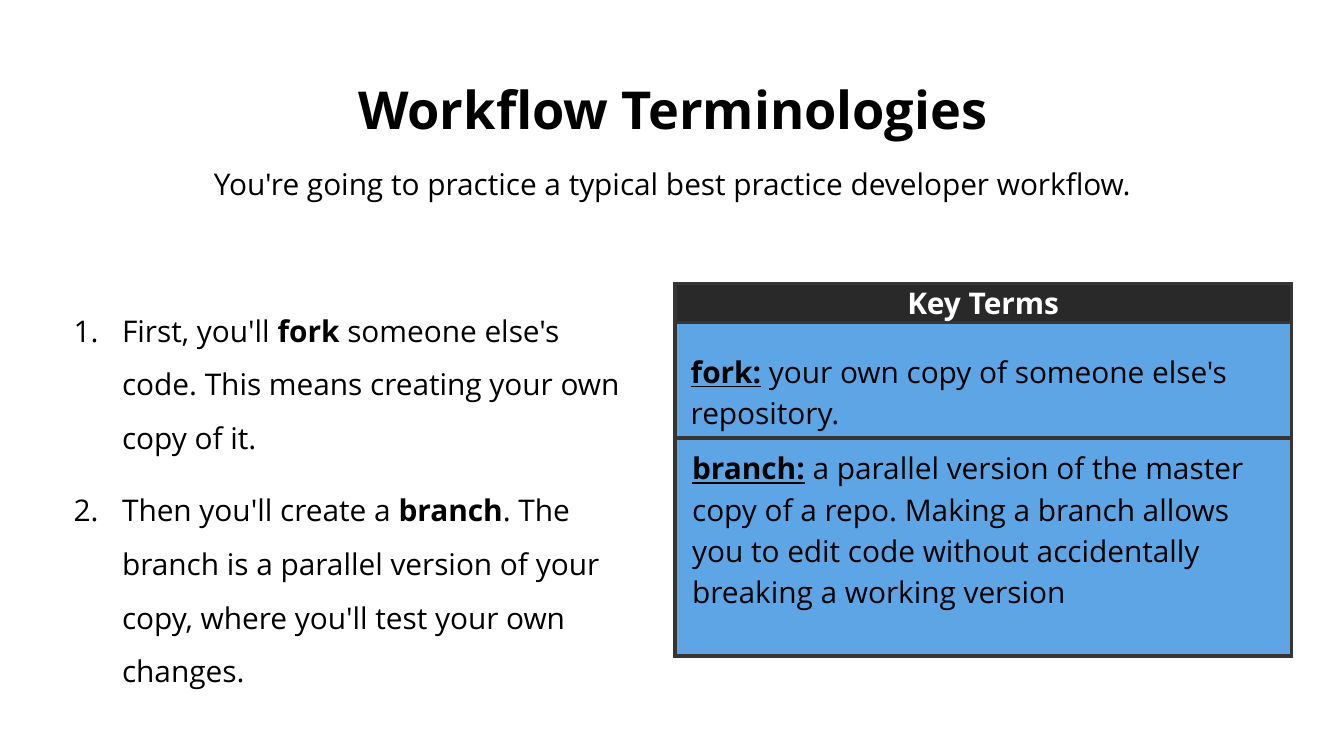
"""Build the workflow terminologies slide."""
from typing import NamedTuple

from lxml import etree
from pptx import Presentation
from pptx.dml.color import RGBColor
from pptx.enum.shapes import MSO_SHAPE
from pptx.enum.text import MSO_ANCHOR, MSO_AUTO_SIZE, PP_ALIGN
from pptx.oxml.ns import qn
from pptx.util import Inches, Pt

RECT = MSO_SHAPE.RECTANGLE
TOP, MIDDLE = MSO_ANCHOR.TOP, MSO_ANCHOR.MIDDLE
LEFT, CENTER = PP_ALIGN.LEFT, PP_ALIGN.CENTER
NO_FIT = MSO_AUTO_SIZE.NONE
FONT = "Open Sans"
BLACK, WHITE, DARK, BORDER, BLUE = "000000", "FFFFFF", "292929", "353535", "5EA5E5"
SLIDE_W = 10
SLIDE_H = SLIDE_W * 9 / 16
CARD_X, CARD_W = 5.02, 4.59


class Run(NamedTuple):
    text: str
    bold: bool = False
    underline: bool = False


class Term(NamedTuple):
    name: str
    meaning: str
    box_y: float
    box_h: float
    text_x: float
    text_y: float
    text_h: float


STEPS = [
    [Run("First, you'll "), Run("fork", True),
     Run(" someone else's code. This means creating your own copy of it.")],
    [Run("Then you'll create a "), Run("branch", True),
     Run(". The branch is a parallel version of your copy, where you'll test your own changes.")],
]
FORK = Term("fork:", " your own copy of someone else's repository.",
            2.4, 0.86, 5.08, 2.53, 0.68)
BRANCH = Term("branch:", " a parallel version of the master copy of a repo. Making a branch allows "
              "you to edit code without accidentally breaking a working version",
              3.26, 1.62, 5.09, 3.25, 1.46)


def rgb(color: str) -> RGBColor:
    return RGBColor.from_string(color)


def place(sp, x: float, y: float, w: float, h: float) -> None:
    sp.left, sp.top, sp.width, sp.height = map(Inches, (x, y, w, h))


def write(sp, paragraphs: list[list[Run]], *, size: int = 16, color: str = BLACK,
          align: PP_ALIGN = LEFT, anchor: MSO_ANCHOR = TOP, inset: float = 0.1,
          spacing: float = 1.0, after: int = 0) -> None:
    tf = sp.text_frame
    tf.word_wrap, tf.auto_size, tf.vertical_anchor = True, NO_FIT, anchor
    tf.margin_left = tf.margin_right = tf.margin_top = tf.margin_bottom = Inches(inset)
    for i, runs in enumerate(paragraphs):
        p = tf.add_paragraph() if i else tf.paragraphs[0]
        p.alignment, p.line_spacing = align, spacing
        p.space_before, p.space_after = Pt(0), Pt(after)
        for run in runs:
            r = p.add_run()
            r.text = run.text
            r.font.name, r.font.size = FONT, Pt(size)
            r.font.bold, r.font.underline = run.bold, run.underline
            r.font.color.rgb = rgb(color)


def number(p) -> None:
    pPr = p._p.get_or_add_pPr()
    pPr.set("marL", str(Inches(0.5)))
    pPr.set("indent", str(Inches(-0.36)))
    etree.SubElement(pPr, qn("a:buFont"), typeface=FONT)
    etree.SubElement(pPr, qn("a:buAutoNum"), type="arabicPeriod")


def add_text(shapes, x: float, y: float, w: float, h: float):
    return shapes.add_textbox(*map(Inches, (x, y, w, h)))


def add_card(shapes, y: float, h: float, fill: str):
    sp = shapes.add_shape(RECT, *map(Inches, (CARD_X, y, CARD_W, h)))
    sp.shadow.inherit = False
    sp.fill.solid()
    sp.fill.fore_color.rgb = rgb(fill)
    sp.line.color.rgb = rgb(BORDER)
    sp.line.width = Pt(2)
    etree.SubElement(sp.line._get_or_add_ln(), qn("a:miter"), lim="800000")
    return sp


def add_term(shapes, term: Term) -> None:
    add_card(shapes, term.box_y, term.box_h, BLUE)
    sp = add_text(shapes, term.text_x, term.text_y, 4.46, term.text_h)
    write(sp, [[Run(term.name, True, True), Run(term.meaning)]],
          inset=0.06, spacing=1.15, after=10)


def main() -> None:
    prs = Presentation()
    prs.slide_width, prs.slide_height = Inches(SLIDE_W), Inches(SLIDE_H)
    s = prs.slides.add_slide(prs.slide_layouts[5])

    title = s.shapes.title
    place(title, 0.18, 0.47, 9.65, 0.68)
    write(title, [[Run("Workflow Terminologies", True)]], size=28, align=CENTER, anchor=MIDDLE)

    steps = add_text(s.shapes, 0.31, 2.09, 4.48, 3.34)
    write(steps, STEPS, spacing=1.5)
    for p in steps.text_frame.paragraphs:
        number(p)
    last = steps.text_frame.paragraphs[-1]
    last.space_before = last.space_after = Pt(10)

    subtitle = add_text(s.shapes, 0.18, 1.03, 9.65, 0.63)
    write(subtitle,
          [[Run("You're going to practice a typical best practice developer workflow.")]],
          align=CENTER, anchor=MIDDLE, spacing=1.15)

    fork_group = s.shapes.add_group_shape()
    add_term(fork_group.shapes, FORK)
    header = add_card(s.shapes, 2.11, 0.29, DARK)
    write(header, [[Run("Key Terms", True)]], color=WHITE, align=CENTER, anchor=MIDDLE, inset=0.06)
    add_term(s.shapes, BRANCH)

    prs.save("out.pptx")


if __name__ == "__main__":
    main()
